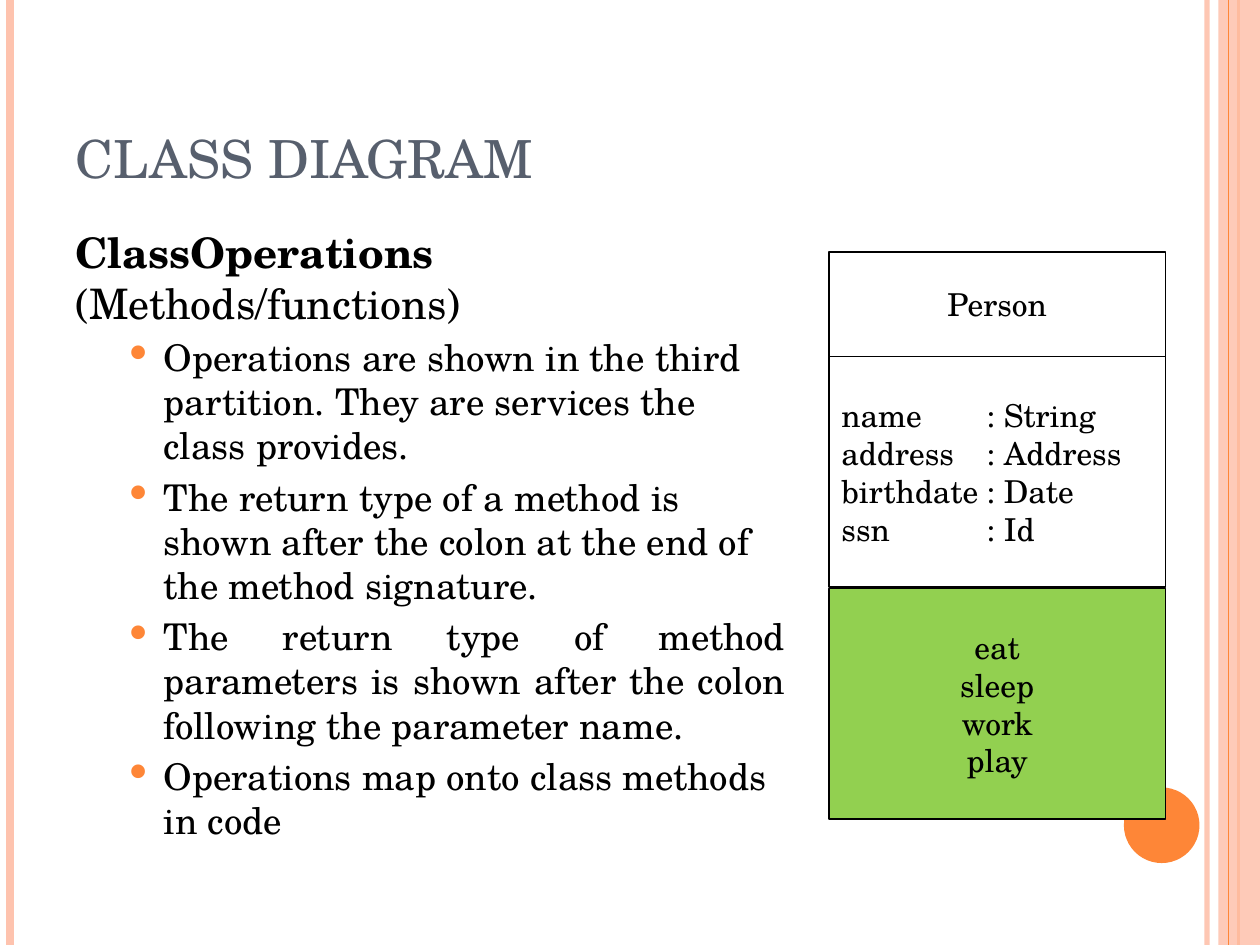
from lxml.etree import SubElement
from pptx import Presentation
from pptx.dml.color import RGBColor
from pptx.enum.shapes import MSO_CONNECTOR, MSO_SHAPE
from pptx.enum.text import MSO_ANCHOR, PP_ALIGN
from pptx.oxml.ns import qn
from pptx.util import Inches, Pt

ORANGE = RGBColor(0xFE, 0x86, 0x37)
PEACH = RGBColor(0xFE, 0xC3, 0xAE)
SLATE = RGBColor(0x57, 0x5F, 0x6D)
GREEN = RGBColor(0x92, 0xD0, 0x50)
WHITE = RGBColor(0xFF, 0xFF, 0xFF)
BLACK = RGBColor(0x00, 0x00, 0x00)

OPERATION_NOTES = [
    ("Operations are shown in the third partition. They are services the class provides.", PP_ALIGN.LEFT),
    ("The return type of a method is shown after the colon at the end of the method signature.", PP_ALIGN.LEFT),
    ("The return type of method parameters is shown after the colon following the parameter name.",
     PP_ALIGN.JUSTIFY),
    ("Operations map onto class methods in code", PP_ALIGN.LEFT),
]
ATTRIBUTES = {"name": "String", "address": "Address", "birthdate": "Date", "ssn": "Id"}
METHODS = ["eat", "sleep", "work", "play"]


def add_xml(parent, tag, **attrs):
    return SubElement(parent, qn(tag), attrs)


def set_alpha(element, percent):
    color = next(element.iter(qn("a:srgbClr")))
    add_xml(color, "a:alpha", val=str(percent * 1000))


class SlideBuilder:
    font = "TeX Gyre Schola"

    def __init__(self, slide):
        self.slide = slide

    def rule(self, x, color, width, alpha=100):
        """Draw a vertical line over the full slide height."""
        line = self.slide.shapes.add_connector(
            MSO_CONNECTOR.STRAIGHT, Inches(x), 0, Inches(x), Inches(7.5))
        line.line.color.rgb = color
        line.line.width = Pt(width)
        if alpha < 100:
            set_alpha(line._element.spPr, alpha)
        add_xml(line._element.spPr, "a:effectLst")

    def shape(self, kind, box, fill, outline=None, alpha=100):
        sp = self.slide.shapes.add_shape(kind, *map(Inches, box))
        sp.shadow.inherit = False
        sp.fill.solid()
        sp.fill.fore_color.rgb = fill
        if alpha < 100:
            set_alpha(sp._element.spPr, alpha)
        if outline is None:
            sp.line.fill.background()
        else:
            sp.line.color.rgb = outline
            sp.line.width = Pt(0.75)
        return sp

    def text_box(self, box, anchor=MSO_ANCHOR.TOP):
        tf = self.slide.shapes.add_textbox(*map(Inches, box)).text_frame
        tf.word_wrap = True
        tf.vertical_anchor = anchor
        return tf

    def run(self, p, text, size, color=BLACK, bold=False):
        r = p.add_run()
        r.text = text
        for name, value in {"name": self.font, "size": Pt(size), "bold": bold}.items():
            setattr(r.font, name, value)
        r.font.color.rgb = color

    def bullet(self, tf, text, align):
        p = tf.add_paragraph()
        for name, value in {"level": 1, "alignment": align, "space_before": Pt(4.2)}.items():
            setattr(p, name, value)
        pPr = p._p.get_or_add_pPr()
        pPr.set("marL", str(Inches(0.7)))
        pPr.set("indent", str(Inches(-0.3)))
        add_xml(add_xml(pPr, "a:buClr"), "a:srgbClr", val=str(ORANGE))
        add_xml(pPr, "a:buSzPct", val="80000")
        add_xml(pPr, "a:buChar", char="⚫")
        self.run(p, text, 21)

    def compartment(self, top, height, lines, fill=WHITE, align=PP_ALIGN.CENTER, tab=None):
        """Draw one part of the class box, with an optional tab stop in inches."""
        sp = self.shape(MSO_SHAPE.RECTANGLE, (6.58, top, 2.67, height), fill, BLACK)
        tf = sp.text_frame
        tf.word_wrap = True
        tf.vertical_anchor = MSO_ANCHOR.MIDDLE
        for i, text in enumerate(lines):
            p = tf.add_paragraph() if i else tf.paragraphs[0]
            p.alignment = align
            if tab:
                tabs = add_xml(p._p.get_or_add_pPr(), "a:tabLst")
                add_xml(tabs, "a:tab", pos=str(Inches(tab)), algn="l")
            self.run(p, text, 18)


def main():
    prs = Presentation()
    prs.slide_width, prs.slide_height = Inches(10), Inches(7.5)
    s = SlideBuilder(prs.slides.add_slide(prs.slide_layouts[6]))

    s.rule(9.58, PEACH, 3, alpha=93)
    s.rule(0.08, PEACH, 4.5)
    s.rule(9.83, ORANGE, 1.5)
    s.shape(MSO_SHAPE.RECTANGLE, (9.67, 0, 0.33, 7.5), PEACH, alpha=87)
    s.rule(9.75, ORANGE, 0.75)
    s.shape(MSO_SHAPE.OVAL, (8.92, 6.25, 0.6, 0.6), ORANGE)

    title = s.text_box((0.5, 0.3, 8.17, 1.25), MSO_ANCHOR.BOTTOM)
    s.run(title.paragraphs[0], "CLASS DIAGRAM", 30, SLATE)

    body = s.text_box((0.5, 1.75, 5.83, 5.33))
    heading = body.paragraphs[0]
    s.run(heading, "ClassOperations ", 24, bold=True)
    s.run(heading, " (Methods/functions)", 24)
    for text, align in OPERATION_NOTES:
        s.bullet(body, text, align)

    s.compartment(2, 0.83, ["Person"])
    attributes = [f"{name}\t: {kind}" for name, kind in ATTRIBUTES.items()]
    s.compartment(2.83, 1.83, attributes, align=PP_ALIGN.LEFT, tab=1.15)
    s.compartment(4.67, 1.83, METHODS, fill=GREEN)

    prs.save("out.pptx")


if __name__ == "__main__":
    main()
